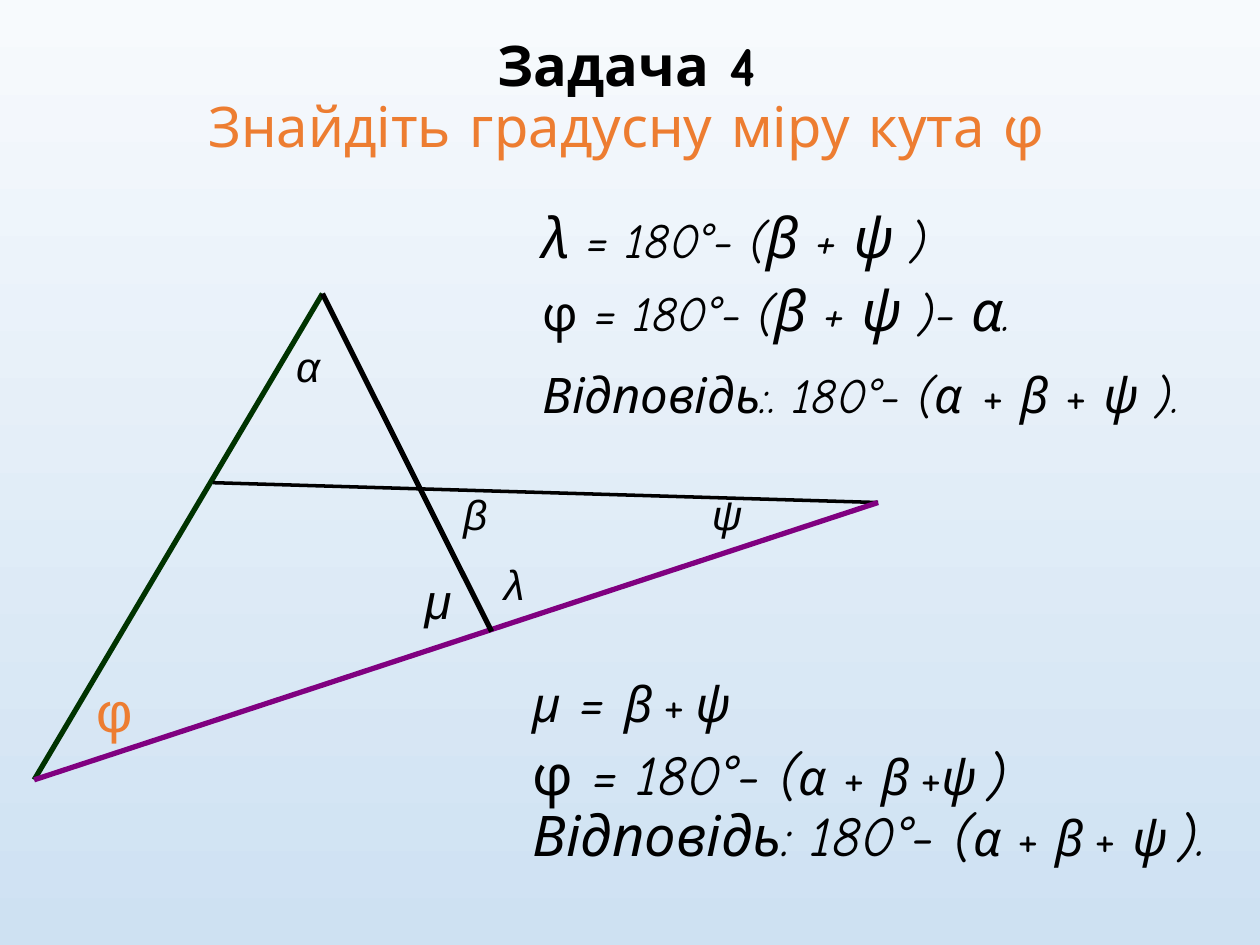
from lxml.etree import SubElement
from pptx import Presentation
from pptx.dml.color import RGBColor
from pptx.enum.shapes import MSO_CONNECTOR as Connector
from pptx.enum.text import MSO_ANCHOR as Anchor, MSO_AUTO_SIZE as AutoSize, PP_ALIGN as Align
from pptx.oxml.ns import qn
from pptx.util import Cm, Pt

COLORS = {
    "ink": "000000", "accent": "ED7D31", "green": "003300",
    "purple": "800080", "sky_top": "F7FAFD", "sky_bottom": "CEE1F2",
}


def write(paragraph, text, size=28, italic=True, bold=False, color="ink", font="Comic Neue"):
    run = paragraph.add_run()
    run.text = text
    run.font.name = font
    run.font.size = Pt(size)
    run.font.italic = italic
    run.font.bold = bold
    run.font.color.rgb = RGBColor.from_string(COLORS[color])


prs = Presentation()
prs.slide_width, prs.slide_height = Cm(25.4), Cm(19.05)
slide = prs.slides.add_slide(prs.slide_layouts[5])

# Background
sky = slide.background.fill
sky.gradient()
sky.gradient_angle = 270
for stop, name in zip(sky.gradient_stops, ("sky_top", "sky_bottom")):
    stop.color.rgb = RGBColor.from_string(COLORS[name])

# Title
title = slide.shapes.title
title.left, title.top, title.width, title.height = Cm(0.69), Cm(-0.05), Cm(23.88), Cm(4.09)
title.text_frame.auto_size = AutoSize.NONE
title.text_frame.vertical_anchor = Anchor.MIDDLE
heading = title.text_frame.paragraphs[0]
heading.alignment = Align.CENTER
heading.line_spacing = 0.9
write(heading, "Задача 4", size=32, italic=False, bold=True)
heading.add_line_break()
write(heading, "Знайдіть градусну міру кута φ", size=32, italic=False, color="accent")

# Triangles: vertices in cm, then sides
corner, apex, left_mid = (0.69, 15.72), (6.5, 5.92), (4.29, 9.73)
right, base_mid = (17.7, 10.13), (9.91, 12.73)
sides = [
    (corner, apex, "green", 3),
    (left_mid, right, "ink", 2),
    (corner, right, "purple", 3),
    (apex, base_mid, "ink", 3),
]
for start, end, color, width in sides:
    side = slide.shapes.add_connector(Connector.STRAIGHT, *map(Cm, start + end))
    side.line.color.rgb = RGBColor.from_string(COLORS[color])
    side.line.width = Pt(width)
    SubElement(side._element.spPr, qn("a:effectLst"))

# Angle labels: letter, left, top, width, height, format
angles = [
    ("β", 9.09, 9.73, 0.99, 1.27, {"size": 24}),
    ("ψ", 14.1, 9.73, 1.12, 1.27, {"size": 24}),
    ("α", 5.72, 6.73, 0.99, 1.27, {"size": 24}),
    ("φ", 1.7, 13.51, 0.99, 1.63, {"size": 32, "italic": False, "color": "accent"}),
    ("μ", 8.31, 11.38, 1.04, 1.45, {"size": 28}),
    ("λ", 9.91, 11.13, 0.91, 1.27, {"size": 24}),
]
for letter, left, top, width, height, style in angles:
    angle = slide.shapes.add_textbox(Cm(left), Cm(top), Cm(width), Cm(height))
    angle.text_frame.word_wrap = False
    write(angle.text_frame.paragraphs[0], letter, font="Arial", **style)

# Two solutions: each line holds (text, size, italic) parts
first_solution = [
    [("λ", 32, True), (" = 180°- (", 28, True), ("β", 32, True), (" + ", 28, True),
     ("ψ", 32, True), (" )", 28, True)],
    [("φ", 28, False), (" = 180°- (", 28, True), ("β", 32, True), (" + ", 28, True),
     ("ψ", 32, True), (" )- ", 28, True), ("α", 32, True), (".", 28, True)],
    [("Відповідь:. 180°- (α", 28, True), (" ", 36, True), ("+ ", 28, False),
     ("β ", 28, True), ("+ ", 28, False), ("ψ ).", 28, True)],
]
second_solution = [
    [("μ", 28, True), (" = ", 32, True), ("β", 28, True), (" ", 18, True),
     ("+", 28, False), (" ", 18, True), ("ψ", 28, True)],
    [("φ", 32, False), (" = 180°- (", 32, True), ("α", 28, True), (" + ", 28, False),
     ("β", 28, True), (" ", 18, True), ("+", 28, False), ("ψ", 28, True), (" ", 18, True),
     (") Відповідь: 180°- (", 32, True), ("α", 28, True), (" + ", 28, False),
     ("β", 28, True), (" ", 18, True), ("+ ", 28, False), ("ψ", 28, True),
     (" ", 18, True), (").", 32, True)],
]
solutions = [
    (first_solution, (10.69, 4.11, 15.29, 4.6), (0, 7, 9)),
    (second_solution, (10.49, 13.46, 14.91, 5.59), (0, 7.5)),
]
for lines, place, gaps in solutions:
    solution = slide.shapes.add_textbox(*map(Cm, place)).text_frame
    solution.word_wrap = True
    for number, (line, gap) in enumerate(zip(lines, gaps)):
        paragraph = solution.add_paragraph() if number else solution.paragraphs[0]
        paragraph.line_spacing = 0.9
        paragraph.space_before = Pt(gap)
        for text, size, italic in line:
            write(paragraph, text, size=size, italic=italic)

prs.save("out.pptx")
